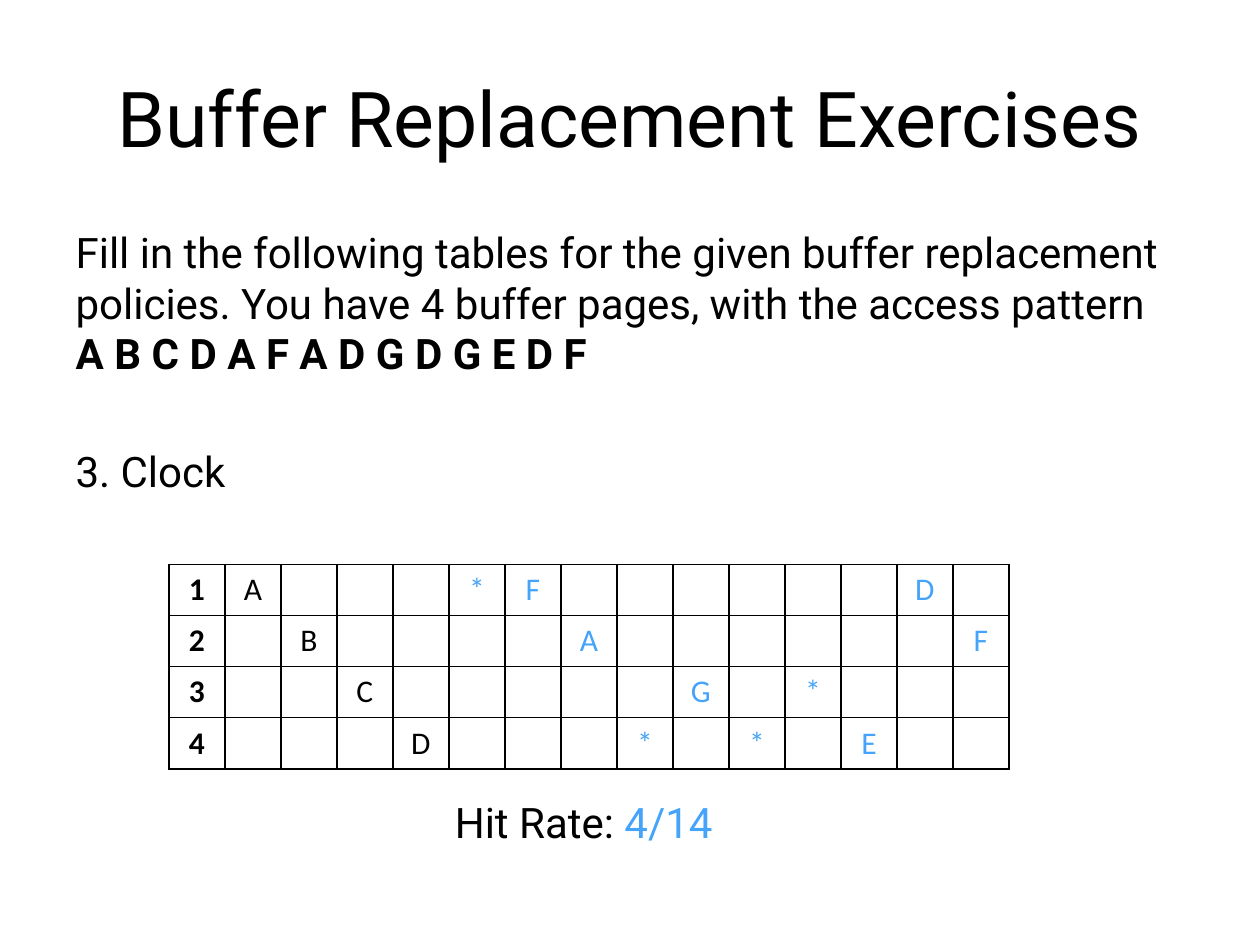
from dataclasses import dataclass

from pptx import Presentation
from pptx import util as u
from pptx.dml.color import RGBColor
from pptx.enum import text
from pptx.oxml import parse_xml
from pptx.oxml.ns import nsdecls


@dataclass
class Theme:
    """Fonts, colours and type sizes of the slide."""
    sans: str = "Roboto"
    grid: str = "Calibri"
    ink: str = "000000"
    blue: str = "45A4FA"
    head: int = 44
    body: int = 24
    cell: int = 18


THEME = Theme()
ROWS = [
    "A...*F......D.",
    ".B....A......F",
    "..C.....G.*...",
    "...D...*.*.E..",
]


def style(font, name, size, color=THEME.ink, bold=False):
    """Set the face, size, colour and weight of a font."""
    font.name, font.size, font.bold = name, u.Pt(size), bold
    font.color.rgb = RGBColor.from_string(color)


def place(shape, box):
    """Move a shape to a box given in inches."""
    shape.left, shape.top, shape.width, shape.height = map(u.Inches, box)


def title(slide, box):
    """Fill the title placeholder."""
    shape = slide.shapes.title
    place(shape, box)
    frame = shape.text_frame
    frame.text = "Buffer Replacement Exercises"
    frame.auto_size = text.MSO_AUTO_SIZE.NONE
    frame.vertical_anchor = text.MSO_ANCHOR.MIDDLE
    para = frame.paragraphs[0]
    para.alignment = text.PP_ALIGN.CENTER
    style(para.font, THEME.sans, THEME.head)


def line(para, gap=None, indent=0):
    """Format a body paragraph without a bullet."""
    props = para._p.get_or_add_pPr()
    props.set("marL", str(u.Inches(indent)))
    props.set("indent", "0")
    if gap is not None:
        para.space_before = u.Pt(gap)
    props.append(parse_xml(f"<a:buNone {nsdecls('a')}/>"))
    style(para.font, THEME.sans, THEME.body)
    return para


def body(slide, box):
    """Fill the body placeholder with task, policy and hit rate."""
    shape = slide.placeholders[1]
    place(shape, box)
    frame = shape.text_frame
    frame.auto_size = text.MSO_AUTO_SIZE.NONE
    task = line(frame.paragraphs[0])
    task.add_run().text = (
        "Fill in the following tables for the given buffer replacement "
        "policies. You have 4 buffer pages, with the access pattern")
    task.add_line_break()
    run = task.add_run()
    run.text = "A B C D A F A D G D G E D F"
    run.font.bold = True
    line(frame.add_paragraph(), 38.5).add_run().text = "3. Clock"
    rate = line(frame.add_paragraph(), 172, 3.01)
    rate.add_run().text = "Hit Rate: "
    run = rate.add_run()
    run.text = "4/14"
    run.font.color.rgb = RGBColor.from_string(THEME.blue)


def border(cell):
    """Draw a thin line on all four sides of a cell."""
    props = cell._tc.get_or_add_tcPr()
    for side in "LRTB":
        props.append(parse_xml(
            f'<a:ln{side} {nsdecls("a")} w="12700"><a:solidFill>'
            f'<a:srgbClr val="{THEME.ink}"/></a:solidFill></a:ln{side}>'))
    cell.fill.background()


def grid(slide, box):
    """Build the table of buffer pages over time."""
    count = len(ROWS[0]) + 1
    table = slide.shapes.add_table(
        len(ROWS), count, *map(u.Inches, box)).table
    table.first_row = table.horz_banding = False
    for col in table.columns:
        col.width = u.Inches(box[2] / count)
    for r, marks in enumerate(ROWS):
        for c, mark in enumerate(str(r + 1) + marks):
            cell = table.cell(r, c)
            border(cell)
            para = cell.text_frame.paragraphs[0]
            para.alignment = text.PP_ALIGN.CENTER
            color = THEME.blue if c > len(ROWS) else THEME.ink
            style(para.font, THEME.grid, THEME.cell, color, c == 0)
            if mark != ".":
                para.add_run().text = mark


def main():
    """Build and save the slide."""
    deck = Presentation()
    deck.slide_width, deck.slide_height = u.Inches(10), u.Inches(7.5)
    slide = deck.slides.add_slide(deck.slide_layouts[1])
    title(slide, (0.5, 0.3, 9, 1.25))
    body(slide, (0.5, 1.75, 9, 5.58))
    grid(slide, (1.34, 4.48, 6.67, 1.62))
    deck.save("out.pptx")


main()
